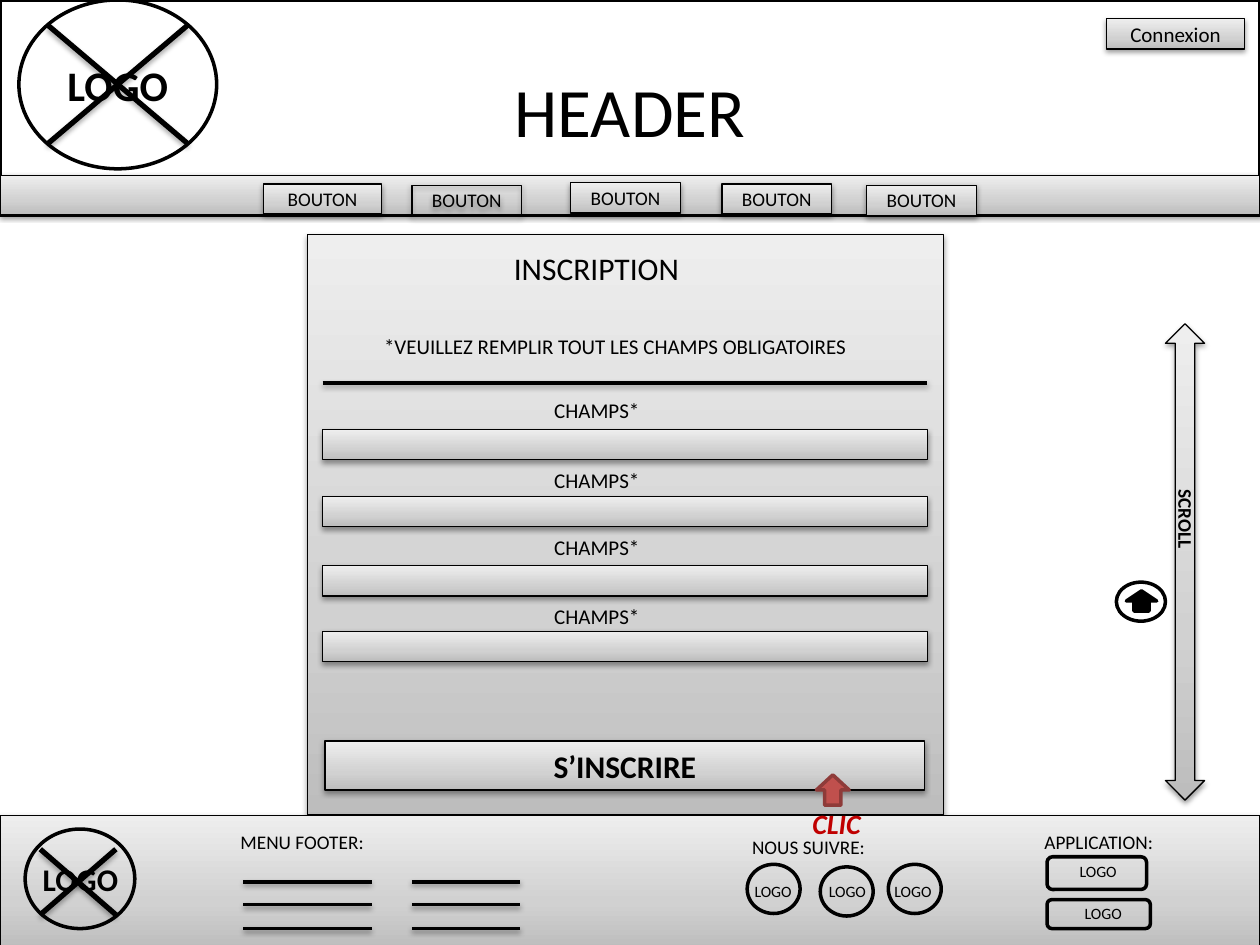
from copy import deepcopy

from lxml import etree
from pptx import Presentation
from pptx.dml.color import RGBColor
from pptx.enum.shapes import MSO_CONNECTOR, MSO_SHAPE
from pptx.enum.text import MSO_ANCHOR, MSO_AUTO_SIZE, PP_ALIGN
from pptx.oxml.ns import qn
from pptx.util import Inches, Pt

RECT, OVAL, ROUND = MSO_SHAPE.RECTANGLE, MSO_SHAPE.OVAL, MSO_SHAPE.ROUNDED_RECTANGLE
UP, UP_DOWN = MSO_SHAPE.UP_ARROW, MSO_SHAPE.UP_DOWN_ARROW
STRAIGHT = MSO_CONNECTOR.STRAIGHT
MIDDLE, CENTER = MSO_ANCHOR.MIDDLE, PP_ALIGN.CENTER
FIT, NO_FIT = MSO_AUTO_SIZE.SHAPE_TO_FIT_TEXT, MSO_AUTO_SIZE.NONE

FONT = "Calibri"
BLACK = RGBColor(0x00, 0x00, 0x00)
WHITE = RGBColor(0xFF, 0xFF, 0xFF)
RED = RGBColor(0xC0, 0x50, 0x4D)
DARK_RED = RGBColor(0x8E, 0x3B, 0x39)
CLIC_RED = RGBColor(0xC0, 0x00, 0x00)
GREY_STOPS = ((0, RGBColor(0xBD, 0xBD, 0xBD)),
              (0.35, RGBColor(0xD1, 0xD1, 0xD1)),
              (1, RGBColor(0xEE, 0xEE, 0xEE)))

# Shadows: opacity in percent, blur and distance in points
SOFT = (38, 3.1, 1.6)
CROSS = (35, 3.1, 1.8)


def add_shadow(s, opacity, blur, distance):
    effects = etree.SubElement(s._element.spPr, qn("a:effectLst"))
    shadow = etree.SubElement(effects, qn("a:outerShdw"), blurRad=str(Pt(blur)),
                              dist=str(Pt(distance)), dir="5400000", rotWithShape="0")
    color = etree.SubElement(shadow, qn("a:srgbClr"), val=str(BLACK))
    etree.SubElement(color, qn("a:alpha"), val=str(opacity * 1000))


def fill_grey(s):
    s.fill.gradient()
    s.fill.gradient_angle = 90
    last = s.fill.gradient_stops[-1]._gs
    last.addnext(deepcopy(last))
    for stop, (position, color) in zip(s.fill.gradient_stops, GREY_STOPS):
        stop.position = position
        stop.color.rgb = color


def write(tf, text, size, color=BLACK, align=None, **style):
    p = tf.paragraphs[0]
    p.alignment = align
    r = p.add_run()
    r.text = text
    r.font.color.rgb = color
    for name, value in dict(name=FONT, size=Pt(size), **style).items():
        setattr(r.font, name, value)


def add_outline(s_tree, kind, box, fill=None, line=BLACK, width=2):
    s = s_tree.add_shape(kind, *map(Inches, box))
    if fill is None:
        s.fill.background()
    else:
        s.fill.solid()
        s.fill.fore_color.rgb = fill
    s.line.color.rgb = line
    s.line.width = Pt(width)
    s.shadow.inherit = False
    return s


def add_panel(s_tree, box, text=None, size=11, kind=RECT, grey=True, **style):
    s = s_tree.add_shape(kind, *map(Inches, box))
    if grey:
        fill_grey(s)
    else:
        s.fill.background()
    s.line.color.rgb = BLACK
    s.line.width = Pt(0.75)
    add_shadow(s, *SOFT)
    if text:
        s.text_frame.vertical_anchor = MIDDLE
        write(s.text_frame, text, size, align=CENTER, **style)


def add_label(s_tree, box, text, size, wrap=True, rotation=0, **style):
    s = s_tree.add_textbox(*map(Inches, box))
    s.rotation = rotation
    tf = s.text_frame
    tf.word_wrap = wrap
    tf.auto_size = FIT
    write(tf, text, size, **style)


def add_line(s_tree, x1, y1, x2, y2, width=2, shadow=SOFT):
    s = s_tree.add_connector(STRAIGHT, *map(Inches, (x1, y1, x2, y2)))
    s.line.color.rgb = BLACK
    s.line.width = Pt(width)
    add_shadow(s, *shadow)


def add_cross(s_tree, left, top, right, bottom):
    add_line(s_tree, left, bottom, right, top, 3, CROSS)
    add_line(s_tree, left, top, right, bottom, 3, CROSS)


def add_header(slide):
    title = slide.shapes.title
    title.left, title.top, title.width, title.height = map(Inches, (0, 0, 10, 1.74))
    title.text_frame.vertical_anchor = MIDDLE
    title.text_frame.auto_size = NO_FIT
    write(title.text_frame, "HEADER", 39.6, align=CENTER)

    shapes = slide.shapes
    logo = add_outline(shapes, OVAL, (0.15, 0, 1.57, 1.34), WHITE)
    logo.text_frame.vertical_anchor = MIDDLE
    write(logo.text_frame, "LOGO", 24, align=CENTER, bold=True)
    add_cross(shapes, 0.38, 0.2, 1.49, 1.14)
    add_outline(shapes, RECT, (0, 0, 10, 1.71))

    # Navigation bar; the second button has no fill of its own
    add_panel(shapes, (0, 1.39, 10, 0.31))
    buttons = ((2.09, 1.46, 0.94), (3.27, 1.47, 0.87), (4.53, 1.45, 0.87),
               (5.73, 1.46, 0.87), (6.88, 1.47, 0.87))
    for i, (x, y, w) in enumerate(buttons):
        add_panel(shapes, (x, y, w, 0.24), "BOUTON", grey=i != 1)
    add_panel(shapes, (8.78, 0.15, 1.1, 0.24), "Connexion", 12)


def add_footer(shapes):
    add_panel(shapes, (0, 6.47, 10, 1.06))
    add_outline(shapes, OVAL, (0.2, 6.58, 0.87, 0.79))
    add_cross(shapes, 0.32, 6.74, 0.92, 7.26)
    add_label(shapes, (0.24, 6.78, 0.81, 0.4), "LOGO", 18, wrap=False, bold=True)

    # Footer menu
    for x, y, w, text in ((1.81, 6.54, 1.3, "MENU FOOTER:"),
                          (5.87, 6.58, 1.18, "NOUS SUIVRE:"),
                          (8.19, 6.54, 1.15, "APPLICATION:")):
        add_label(shapes, (x, y, w, 0.29), text, 11)
    for x1, x2 in ((1.93, 2.95), (3.27, 4.13)):
        for y in (7, 7.18, 7.37):
            add_line(shapes, x1, y, x2, y)

    # Social and application badges, each with its label position
    badges = ((OVAL, (5.93, 6.86, 0.42, 0.39), (5.89, 6.95)),
              (OVAL, (6.51, 6.88, 0.42, 0.39), (6.48, 6.95)),
              (OVAL, (7.05, 6.86, 0.42, 0.39), (7, 6.95)),
              (ROUND, (8.31, 7.14, 0.82, 0.23), (8.51, 7.12)),
              (ROUND, (8.31, 6.8, 0.79, 0.26), (8.47, 6.79)))
    for kind, box, label_at in badges:
        add_outline(shapes, kind, box)
        add_label(shapes, (*label_at, 0.5, 0.25), "LOGO", 9, wrap=False)


def add_form(shapes):
    add_label(shapes, (3.98, 1.93, 1.52, 0.4), "INSCRIPTION", 18, wrap=False)
    add_label(shapes, (2.95, 2.6, 3.94, 0.3),
              "*VEUILLEZ REMPLIR TOUT LES CHAMPS OBLIGATOIRES", 12)
    add_line(shapes, 2.56, 3.04, 7.36, 3.04)
    for label_y, field_y in ((3.11, 3.41), (3.66, 3.94), (4.19, 4.49), (4.74, 5.01)):
        add_panel(shapes, (2.56, field_y, 4.8, 0.24))
        add_label(shapes, (4.3, label_y, 0.88, 0.3), "CHAMPS*", 12)
    add_panel(shapes, (2.58, 5.88, 4.76, 0.39), "S’INSCRIRE", 18, bold=True)

    # Click marker
    add_outline(shapes, UP, (6.48, 6.15, 0.26, 0.24), RED, DARK_RED)
    add_label(shapes, (6.35, 6.35, 0.66, 0.37), "CLIC", 16,
              color=CLIC_RED, bold=True, italic=True)


def add_scroll(shapes):
    add_panel(shapes, (9.25, 2.57, 0.31, 3.78), kind=UP_DOWN)
    add_label(shapes, (8.82, 4.23, 1.18, 0.29), "SCROLL", 11, rotation=90, bold=True)
    add_outline(shapes, OVAL, (8.86, 4.62, 0.39, 0.31), WHITE)
    add_outline(shapes, UP, (8.94, 4.69, 0.24, 0.16), BLACK)


def main():
    prs = Presentation()
    prs.slide_width, prs.slide_height = Inches(10), Inches(7.5)
    slide = prs.slides.add_slide(prs.slide_layouts[5])
    add_header(slide)
    add_panel(slide.shapes, (2.44, 1.86, 5.05, 4.61))  # form background
    add_footer(slide.shapes)
    add_scroll(slide.shapes)
    add_form(slide.shapes)
    prs.save("out.pptx")


if __name__ == "__main__":
    main()
